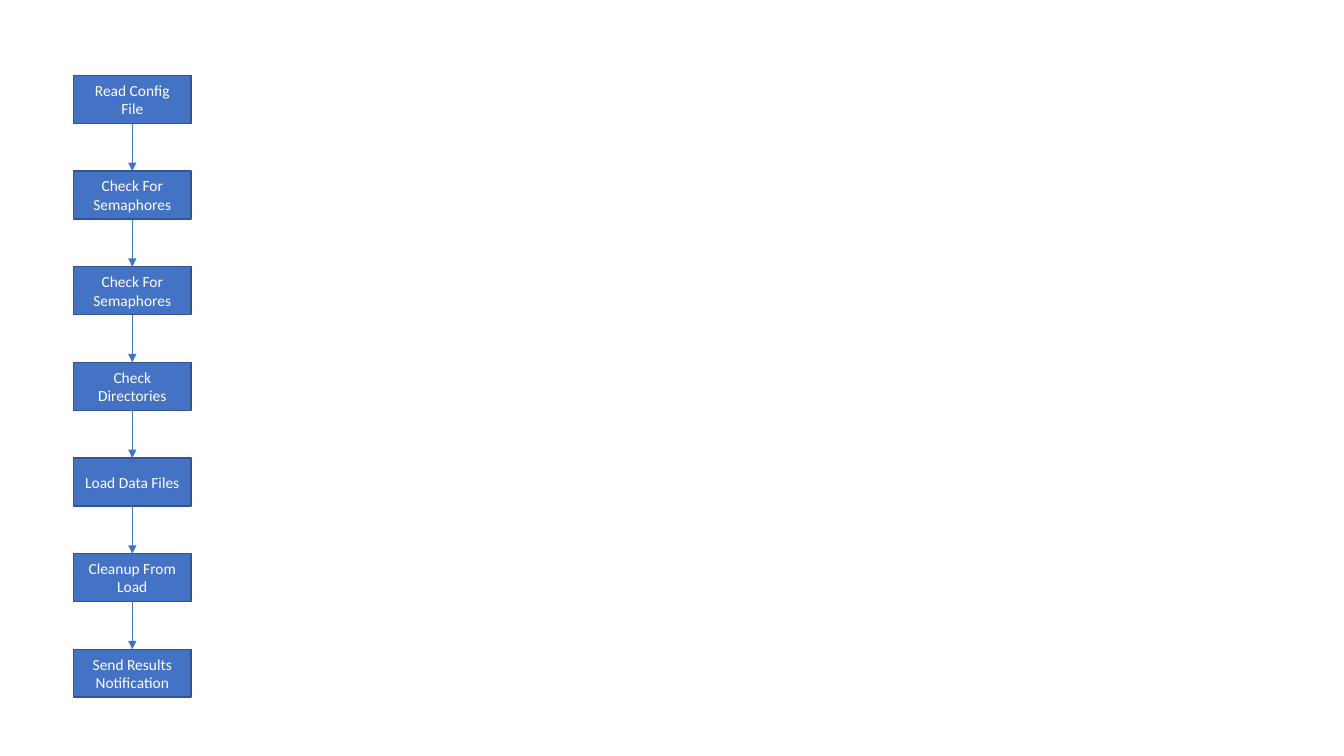
from dataclasses import dataclass

from lxml import etree
from pptx import Presentation
from pptx.dml.color import RGBColor
from pptx.enum.shapes import MSO_CONNECTOR, MSO_SHAPE
from pptx.enum.text import MSO_ANCHOR, PP_ALIGN
from pptx.oxml.ns import qn
from pptx.util import Cm, Pt

RECTANGLE = MSO_SHAPE.RECTANGLE
STRAIGHT = MSO_CONNECTOR.STRAIGHT
CENTER = PP_ALIGN.CENTER
MIDDLE = MSO_ANCHOR.MIDDLE

BLANK_LAYOUT = 6
TOP_SITE, BOTTOM_SITE = 0, 2

STEPS = [
    "Read Config File",
    "Check For Semaphores",
    "Check For Semaphores",
    "Check Directories",
    "Load Data Files",
    "Cleanup From Load",
    "Send Results Notification",
]
STEP_LEFT, FIRST_TOP = 1.85, 1.9
STEP_WIDTH, STEP_HEIGHT = 2.97, 1.21
STEP_PITCH = 2.41


@dataclass(frozen=True)
class Theme:
    """Colours, font and sizes of the slide."""

    fill: RGBColor = RGBColor(0x44, 0x72, 0xC4)
    outline: RGBColor = RGBColor(0x32, 0x54, 0x91)
    text: RGBColor = RGBColor(0xFF, 0xFF, 0xFF)
    font: str = "Calibri"
    text_size: float = 11
    outline_width: float = 1
    arrow_width: float = 0.5


def write_text(shape, text, *, font, size, color, align=CENTER, anchor=MIDDLE):
    """Put formatted, wrapped text into a shape."""
    frame = shape.text_frame
    frame.word_wrap = True
    frame.vertical_anchor = anchor
    paragraph = frame.paragraphs[0]
    paragraph.alignment = align
    run = paragraph.add_run()
    run.text = text
    run.font.name = font
    run.font.size = Pt(size)
    run.font.color.rgb = color


class FlowSlide:
    """Draws flowchart elements on a slide in one theme."""

    def __init__(self, slide, theme):
        """Keep the slide and its theme."""
        self.slide = slide
        self.theme = theme

    def step(self, text, left, top, width, height):
        """Add a box for one step and return it."""
        theme = self.theme
        shape = self.slide.shapes.add_shape(
            RECTANGLE, Cm(left), Cm(top), Cm(width), Cm(height)
        )
        shape.shadow.inherit = False
        shape.fill.solid()
        shape.fill.fore_color.rgb = theme.fill
        shape.line.color.rgb = theme.outline
        shape.line.width = Pt(theme.outline_width)
        write_text(shape, text, font=theme.font, size=theme.text_size, color=theme.text)
        return shape

    def arrow(self, upper, lower):
        """Join two steps with a downward arrow."""
        connector = self.slide.shapes.add_connector(STRAIGHT, 0, 0, 0, 0)
        connector.begin_connect(upper, BOTTOM_SITE)
        connector.end_connect(lower, TOP_SITE)
        connector.line.color.rgb = self.theme.fill
        connector.line.width = Pt(self.theme.arrow_width)
        properties = connector.element.spPr
        etree.SubElement(properties.find(qn("a:ln")), qn("a:tailEnd"), type="triangle")
        etree.SubElement(properties, qn("a:effectLst"))


def main():
    """Build and save the flowchart."""
    presentation = Presentation()
    presentation.slide_width = Cm(33.87)
    presentation.slide_height = Cm(19.05)
    slide = presentation.slides.add_slide(presentation.slide_layouts[BLANK_LAYOUT])
    flow = FlowSlide(slide, Theme())

    boxes = [
        flow.step(text, STEP_LEFT, FIRST_TOP + row * STEP_PITCH, STEP_WIDTH, STEP_HEIGHT)
        for row, text in enumerate(STEPS)
    ]
    for upper, lower in zip(boxes, boxes[1:]):
        flow.arrow(upper, lower)

    presentation.save("out.pptx")


main()
